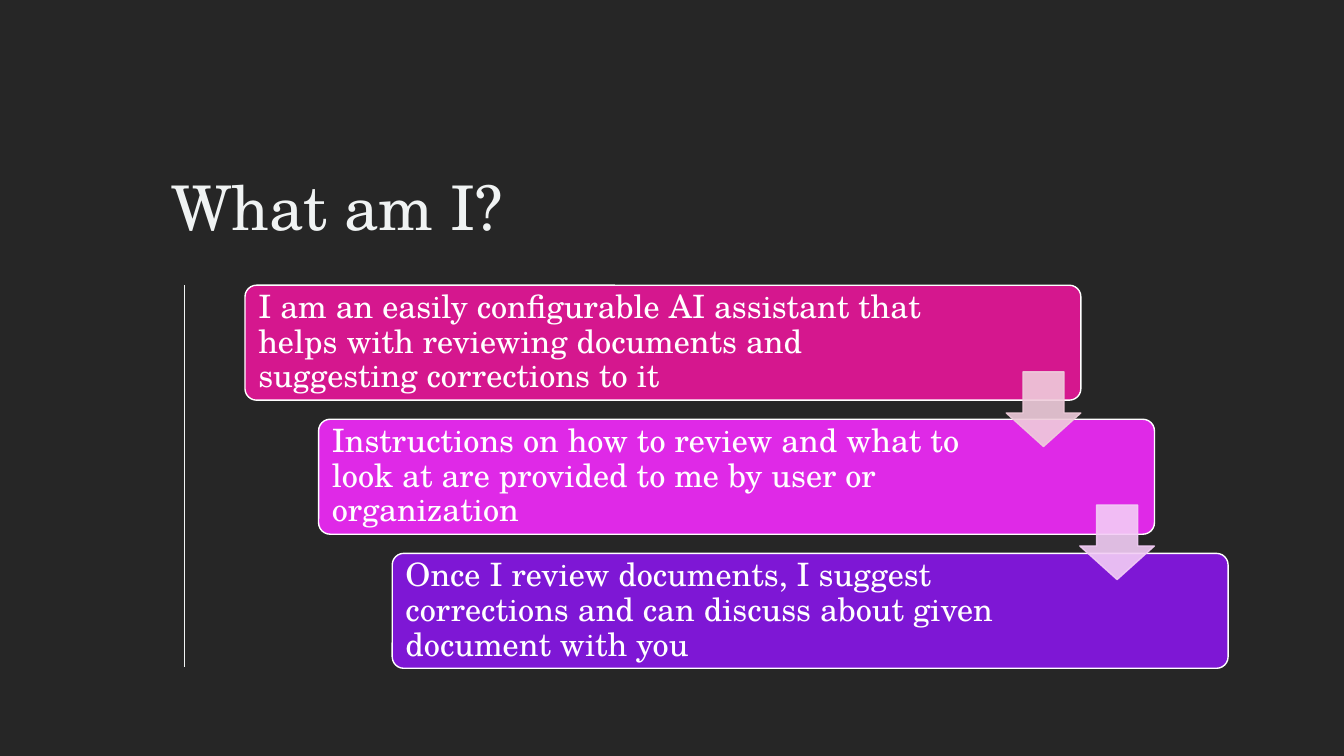
"""Build the "What am I?" slide: a title and three descending steps joined by arrows."""
from lxml import etree
from pptx import Presentation
from pptx.dml.color import RGBColor
from pptx.enum.shapes import MSO_CONNECTOR, MSO_SHAPE
from pptx.enum.text import MSO_ANCHOR, PP_ALIGN
from pptx.oxml.ns import qn
from pptx.util import Inches, Pt

FONT = "TeX Gyre Schola"
COLORS = {
    "background": "262626",
    "title": "F0F3F3",
    "white": "FFFFFF",
    "pink": "D5178E",
    "magenta": "DF29E7",
    "violet": "7E17D5",
    "pale pink": "EFCCDB",
    "pale magenta": "F3CDF6",
}


def write_text(shape, text, size, color, anchor):
    text_frame = shape.text_frame
    text_frame.word_wrap = True
    text_frame.vertical_anchor = anchor
    text_frame.text = text
    paragraph = text_frame.paragraphs[0]
    paragraph.alignment = PP_ALIGN.LEFT
    font = paragraph.runs[0].font
    font.name = FONT
    font.size = Pt(size)
    font.color.rgb = RGBColor.from_string(COLORS[color])


def add_filled_shape(kind, left, top, width, height, fill, line):
    shape = slide.shapes.add_shape(
        kind, Inches(left), Inches(top), Inches(width), Inches(height))
    shape.shadow.inherit = False
    shape.fill.solid()
    shape.fill.fore_color.rgb = RGBColor.from_string(COLORS[fill])
    shape.line.color.rgb = RGBColor.from_string(COLORS[line])
    shape.line.width = Pt(1)
    return shape


presentation = Presentation()
presentation.slide_width = Inches(13.33)
presentation.slide_height = Inches(7.5)
slide = presentation.slides.add_slide(presentation.slide_layouts[6])
slide.background.fill.solid()
slide.background.fill.fore_color.rgb = RGBColor.from_string(COLORS["background"])

title = slide.shapes.add_textbox(Inches(1.6), Inches(0.96), Inches(8.32), Inches(1.5))
write_text(title, "What am I?", 44, "title", MSO_ANCHOR.BOTTOM)

side_line = slide.shapes.add_connector(
    MSO_CONNECTOR.STRAIGHT, Inches(1.83), Inches(2.83), Inches(1.83), Inches(6.62))
side_line.line.color.rgb = RGBColor.from_string(COLORS["title"])
side_line.line.width = Pt(0.85)
etree.SubElement(side_line._element.spPr, qn("a:effectLst"))

STEP_LEFT, STEP_TOP = 2.43, 2.83
STEP_RIGHT, STEP_DOWN = 0.73, 1.33
steps = [
    ("I am an easily configurable AI assistant that helps with reviewing "
     "documents and suggesting corrections to it", "pink", 1.26),
    ("Instructions on how to review and what to look at are provided to me "
     "by user or organization", "magenta", 1.57),
    ("Once I review documents, I suggest corrections and can discuss about "
     "given document with you", "violet", 1.57),
]
for index, (text, fill, right_margin) in enumerate(steps):
    step = add_filled_shape(
        MSO_SHAPE.ROUNDED_RECTANGLE, STEP_LEFT + index * STEP_RIGHT,
        STEP_TOP + index * STEP_DOWN, 8.29, 1.14, fill, "white")
    step.adjustments[0] = 0.1
    write_text(step, text, 23, "white", MSO_ANCHOR.MIDDLE)
    step.text_frame.margin_left = Inches(0.1)
    step.text_frame.margin_right = Inches(right_margin)
    step.text_frame.margin_top = step.text_frame.margin_bottom = Inches(0.1)
    step.text_frame.paragraphs[0].line_spacing = 0.9

for index, color in enumerate(["pale pink", "pale magenta"]):
    arrow = add_filled_shape(
        MSO_SHAPE.DOWN_ARROW, 9.98 + index * STEP_RIGHT, 3.69 + index * 1.32,
        0.74, 0.74, color, color)
    arrow.adjustments[0] = 0.55
    arrow.adjustments[1] = 0.45
    for color_element in arrow._element.spPr.iter(qn("a:srgbClr")):
        etree.SubElement(color_element, qn("a:alpha"), val="90000")

presentation.save("out.pptx")
